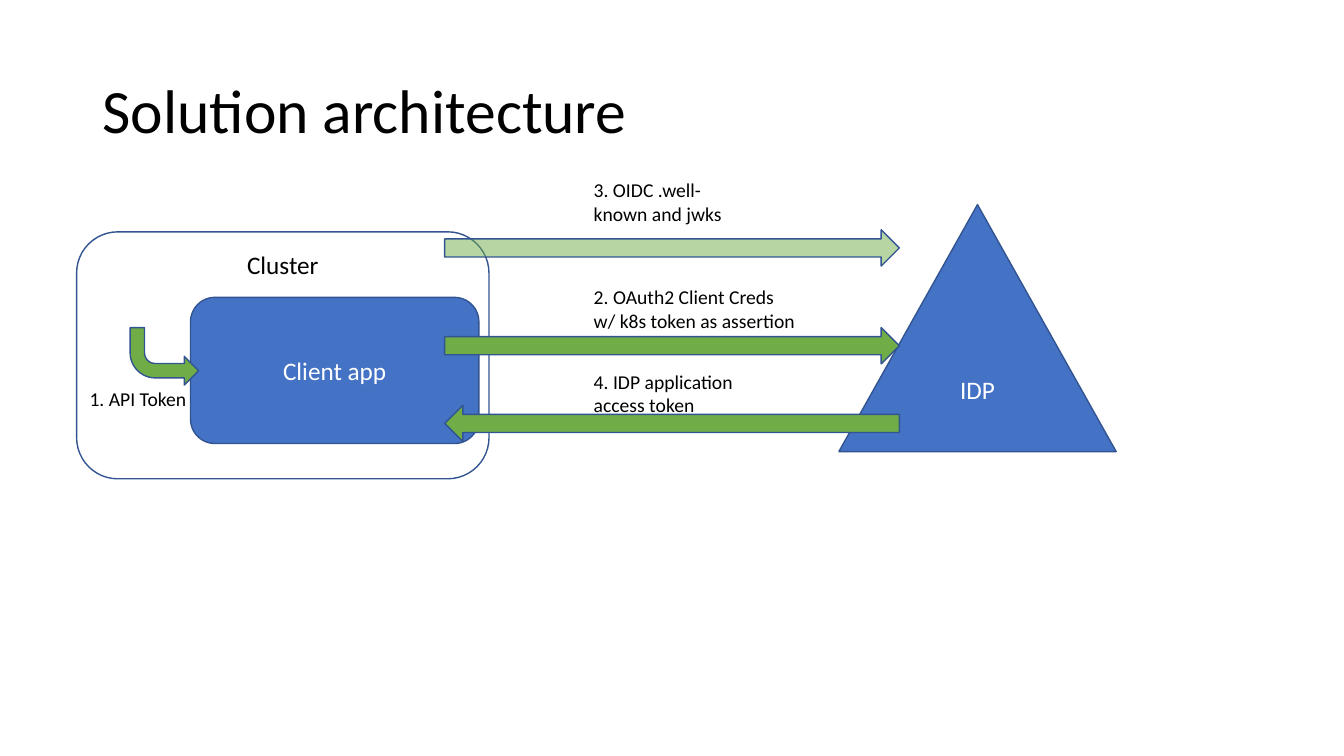
from dataclasses import dataclass

from lxml import etree
from pptx import Presentation
from pptx import util as u
from pptx.dml.color import RGBColor
from pptx.enum import shapes, text
from pptx.oxml import ns

FONT = "Calibri"
BLACK, WHITE = "000000", "FFFFFF"
BLUE, GREEN, OUTLINE = "4472C4", "70AD47", "325491"
FLOW_LEFT, FLOW_WIDTH, FLOW_HEIGHT = 4.41, 4.51, 0.36
FLOW_LABEL_LEFT = 5.79


@dataclass
class Block:
    kind: shapes.MSO_SHAPE
    left: float
    top: float
    width: float
    height: float
    fill: str | None = None
    caption: str = ""
    color: str = WHITE
    anchor: text.MSO_ANCHOR = text.MSO_ANCHOR.MIDDLE
    rotation: int = 0
    mirrored: bool = False
    opacity: int = 100


@dataclass
class Label:
    lines: list[str]
    left: float
    top: float
    width: float
    height: float = 0.57
    wrap: bool = False


@dataclass
class Flow:
    top: float
    label: Label
    rotation: int = 0
    opacity: int = 100


def rgb(value: str) -> RGBColor:
    return RGBColor.from_string(value)


def style(paragraph, size: int, color: str) -> None:
    paragraph.font.name = FONT
    paragraph.font.size = u.Pt(size)
    paragraph.font.color.rgb = rgb(color)


def draw_block(slide, block: Block) -> None:
    body = slide.shapes.add_shape(
        block.kind, u.Inches(block.left), u.Inches(block.top),
        u.Inches(block.width), u.Inches(block.height))
    body.shadow.inherit = False
    body.rotation = block.rotation
    body.line.color.rgb = rgb(OUTLINE)
    body.line.width = u.Pt(1)
    if block.fill:
        body.fill.solid()
        body.fill.fore_color.rgb = rgb(block.fill)
    else:
        body.fill.background()
    if block.opacity < 100:
        tint = body._element.spPr.find(ns.qn("a:solidFill"))[0]
        etree.SubElement(tint, ns.qn("a:alpha"), val=str(block.opacity * 1000))
    if block.mirrored:
        body._element.spPr.find(ns.qn("a:xfrm")).set("flipH", "1")
    if block.caption:
        frame = body.text_frame
        frame.vertical_anchor = block.anchor
        caption = frame.paragraphs[0]
        caption.text = block.caption
        caption.alignment = text.PP_ALIGN.CENTER
        style(caption, 18, block.color)


def draw_label(slide, label: Label, size: int = 14):
    frame = slide.shapes.add_textbox(
        u.Inches(label.left), u.Inches(label.top),
        u.Inches(label.width), u.Inches(label.height)).text_frame
    frame.word_wrap = label.wrap
    frame.auto_size = text.MSO_AUTO_SIZE.SHAPE_TO_FIT_TEXT
    frame.text = "\n".join(label.lines)
    for paragraph in frame.paragraphs:
        style(paragraph, size, BLACK)
    return frame


def draw_flow(slide, flow: Flow) -> None:
    draw_block(slide, Block(
        shapes.MSO_SHAPE.RIGHT_ARROW, FLOW_LEFT, flow.top, FLOW_WIDTH, FLOW_HEIGHT,
        GREEN, rotation=flow.rotation, opacity=flow.opacity))
    draw_label(slide, flow.label)


CLUSTER = Block(shapes.MSO_SHAPE.ROUNDED_RECTANGLE, 0.76, 2.3, 4.09, 2.45,
                caption="Cluster", color=BLACK, anchor=text.MSO_ANCHOR.TOP)
DIRECTORY = Block(shapes.MSO_SHAPE.ISOSCELES_TRIANGLE, 8.32, 2.03, 2.75, 2.45, BLUE, "IDP")
CLIENT_APP = Block(shapes.MSO_SHAPE.ROUNDED_RECTANGLE, 1.89, 2.95, 2.86, 1.45,
                   BLUE, "Client app")
TOKEN_ARROW = Block(shapes.MSO_SHAPE.BENT_ARROW, 1.29, 3.25, 0.68, 0.57, GREEN,
                    rotation=180, mirrored=True)
TOKEN_LABEL = Label(["1. API Token"], 0.79, 3.79, 1.17, 0.34)
FLOWS = [
    Flow(3.25, Label(["2. OAuth2 Client Creds", "w/ k8s token as assertion"],
                     FLOW_LABEL_LEFT, 2.78, 2.22)),
    Flow(2.28, Label(["3. OIDC .well-known and jwks"],
                     FLOW_LABEL_LEFT, 1.72, 1.76, wrap=True), opacity=50),
    Flow(4.02, Label(["4. IDP application", "access token"],
                     FLOW_LABEL_LEFT, 3.62, 1.65), rotation=180),
]


def main() -> None:
    deck = Presentation()
    deck.slide_width, deck.slide_height = u.Inches(13.33), u.Inches(7.5)
    slide = deck.slides.add_slide(deck.slide_layouts[6])

    # Cluster behind the title
    draw_block(slide, CLUSTER)
    heading = draw_label(
        slide, Label(["Solution architecture"], 0.92, 0.4, 11.5, 1.45, wrap=True), 44)
    heading.auto_size = text.MSO_AUTO_SIZE.NONE
    heading.vertical_anchor = text.MSO_ANCHOR.MIDDLE
    heading.paragraphs[0].line_spacing = 0.9

    # Directory, client app and its token
    for block in (DIRECTORY, CLIENT_APP, TOKEN_ARROW):
        draw_block(slide, block)
    draw_label(slide, TOKEN_LABEL)

    # Exchanges between the client app and the directory
    for flow in FLOWS:
        draw_flow(slide, flow)

    deck.save("out.pptx")


if __name__ == "__main__":
    main()
